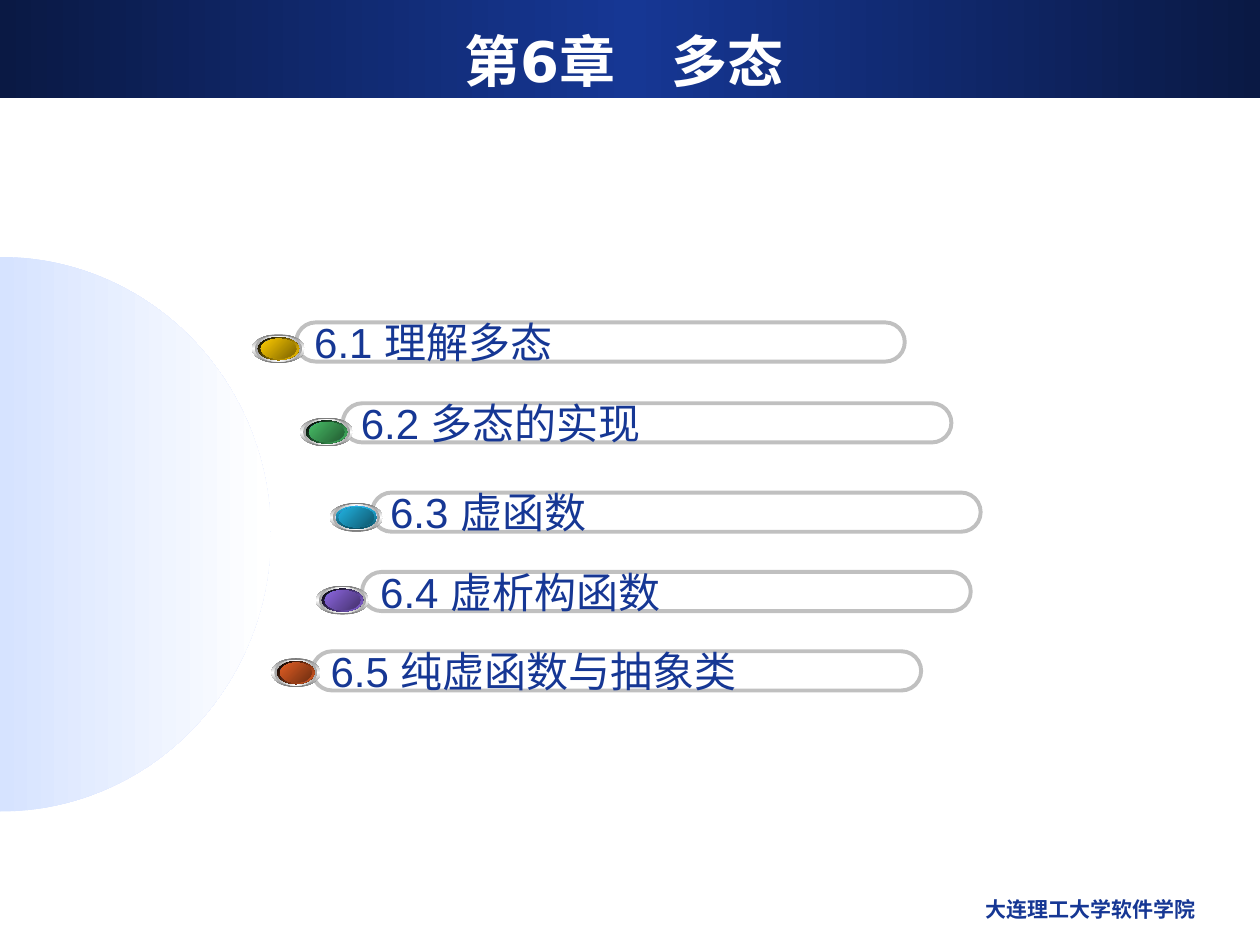
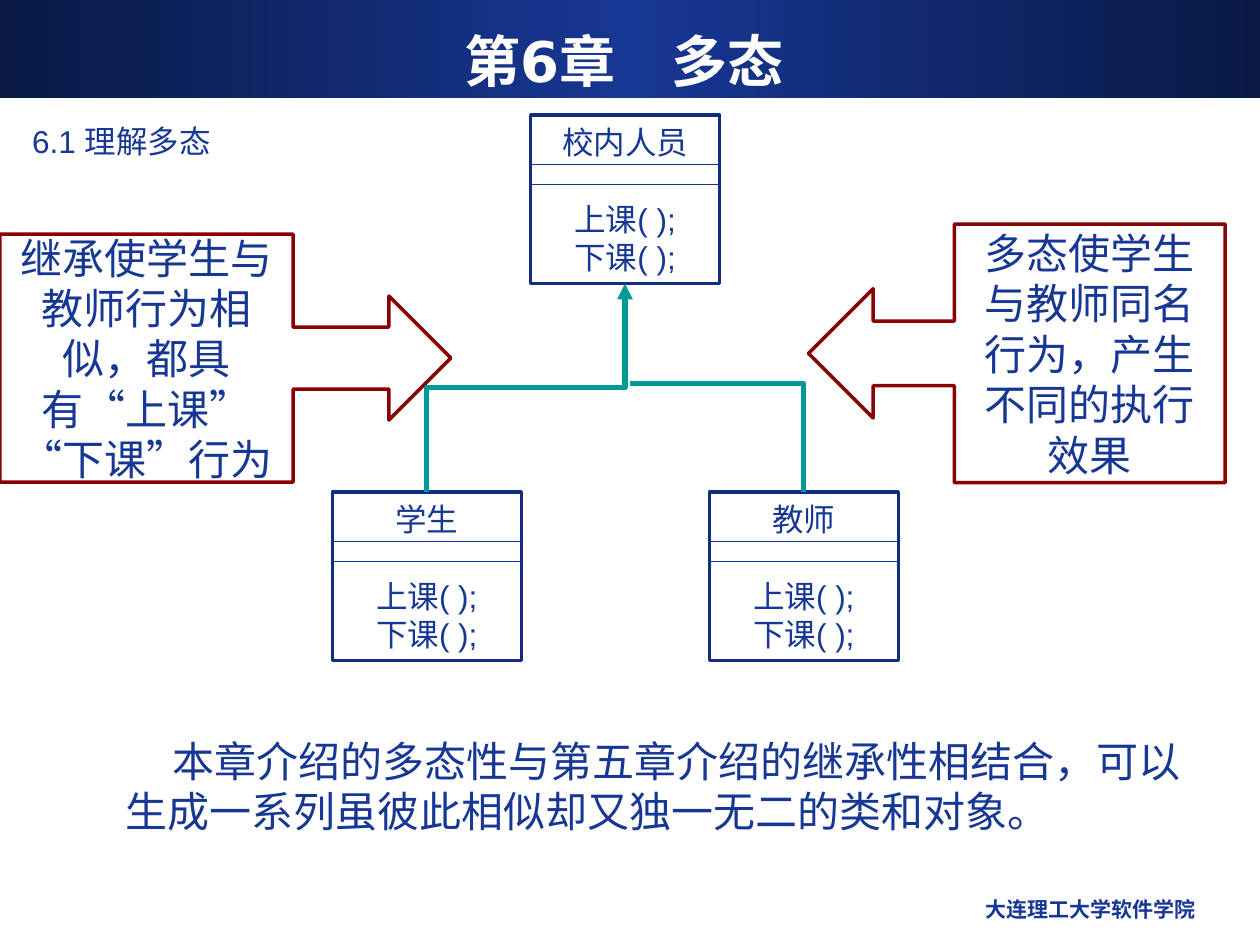
from math import cos, pi, sin

from lxml import etree
from pptx import Presentation
from pptx.dml.color import RGBColor
from pptx.enum.shapes import MSO_CONNECTOR, MSO_SHAPE
from pptx.enum.text import MSO_ANCHOR, MSO_AUTO_SIZE, PP_ALIGN
from pptx.oxml.ns import qn
from pptx.util import Cm, Pt

LEFT, MID, RIGHT = PP_ALIGN.LEFT, PP_ALIGN.CENTER, PP_ALIGN.RIGHT
TOP, CORE = MSO_ANCHOR.TOP, MSO_ANCHOR.MIDDLE
FIXED = MSO_AUTO_SIZE.NONE
RECT, OVAL, PILL = MSO_SHAPE.RECTANGLE, MSO_SHAPE.OVAL, MSO_SHAPE.ROUNDED_RECTANGLE
CALLOUT = MSO_SHAPE.RIGHT_ARROW_CALLOUT
STRAIGHT, ELBOW = MSO_CONNECTOR.STRAIGHT, MSO_CONNECTOR.ELBOW

WHITE = RGBColor(0xFF, 0xFF, 0xFF)
BLACK = RGBColor(0x00, 0x00, 0x00)
INK = RGBColor(0x16, 0x37, 0x94)
NIGHT = RGBColor(0x0A, 0x19, 0x44)
PALE = RGBColor(0xD6, 0xE3, 0xFF)
SILVER = RGBColor(0xC0, 0xC0, 0xC0)
STEEL = RGBColor(0x76, 0x76, 0x76)
GREY = RGBColor(0xA2, 0xA2, 0xA2)
SKY = RGBColor(0x66, 0x99, 0xFF)
DUSK = RGBColor(0x37, 0x53, 0x8A)
NAVY = RGBColor(0x11, 0x2D, 0x7E)
RULE = RGBColor(0x12, 0x34, 0x94)
TEAL = RGBColor(0x00, 0x99, 0x99)
MAROON = RGBColor(0x8A, 0x00, 0x00)
GOLD, OCHRE = RGBColor(0xFF, 0xCC, 0x00), RGBColor(0x7C, 0x63, 0x00)
GREEN, PINE = RGBColor(0x48, 0xBE, 0x67), RGBColor(0x23, 0x5C, 0x32)
CYAN, DEEP = RGBColor(0x21, 0xB3, 0xE1), RGBColor(0x10, 0x57, 0x6D)
ABYSS = RGBColor(0x0F, 0x53, 0x68)
LILAC, PLUM = RGBColor(0x8D, 0x67, 0xE1), RGBColor(0x45, 0x32, 0x6D)
CORAL, RUST = RGBColor(0xE3, 0x5E, 0x23), RGBColor(0x6E, 0x2E, 0x11)

TITLE = "第6章　多态"
SCHOOL = "大连理工大学软件学院"
TOPICS = [
    ("6.1 理解多态", 5.97, 6.5),
    ("6.2 多态的实现", 6.91, 8.13),
    ("6.3 虚函数", 7.5, 9.93),
    ("6.4 虚析构函数", 7.3, 11.53),
    ("6.5 纯虚函数与抽象类", 6.3, 13.13),
]
BEADS = [
    ((5.08, 6.74, 1.07, 0.58), GOLD, OCHRE, (BLACK, GOLD), 45),
    ((6.05, 8.42, 1.07, 0.58), GREEN, PINE, (BLACK, GREEN), 45),
    ((6.37, 11.81, 1.07, 0.58), LILAC, PLUM, (BLACK, LILAC), 45),
    ((5.47, 13.27, 0.99, 0.58), CORAL, RUST, (BLACK, CORAL), 45),
    ((6.65, 10.14, 1.07, 0.58), CYAN, DEEP, (CYAN, ABYSS), 90),
]


def put(obj, **fmt):
    for key, val in fmt.items():
        setattr(obj, key, val)


def area(*box):
    return [Cm(val) for val in box]


def write(frame, lines, size, color=INK, name="Arial", bold=False,
          align=LEFT, anchor=TOP, wrap=True):
    put(frame, text="\n".join(lines), auto_size=FIXED,
        vertical_anchor=anchor, word_wrap=wrap)
    for para in frame.paragraphs:
        put(para, alignment=align, space_before=Pt(0))
        para._p.get_or_add_pPr().set("hangingPunct", "0")
        for run in para.runs:
            put(run.font, size=Pt(size), name=name, bold=bold)
            run.font.color.rgb = color


def shade(shape, stops, angle):
    shape.fill.background()
    props = shape.element.spPr
    grad = etree.Element(qn("a:gradFill"), rotWithShape="1")
    row = etree.SubElement(grad, qn("a:gsLst"))
    for num, color in enumerate(stops):
        pos = 100000 * num // (len(stops) - 1)
        stop = etree.SubElement(row, qn("a:gs"), pos=str(pos))
        etree.SubElement(stop, qn("a:srgbClr"), val=str(color))
    etree.SubElement(grad, qn("a:lin"), ang=str(angle * 60000), scaled="0")
    props.replace(props.find(qn("a:noFill")), grad)


def edge(shape, color, width):
    shape.line.color.rgb = color
    shape.line.width = Pt(width)


def draw(shapes, kind, box, fill=None, line=None, width=2):
    shape = shapes.add_shape(kind, *area(*box))
    shape.shadow.inherit = False
    if fill is None:
        shape.fill.background()
    else:
        shape.fill.solid()
        shape.fill.fore_color.rgb = fill
    if line is None:
        shape.line.fill.background()
    else:
        edge(shape, line, width)
    return shape


def link(slide, kind, start, end, color, width):
    wire = slide.shapes.add_connector(kind, *area(*start, *end))
    edge(wire, color, width)
    etree.SubElement(wire.element.spPr, qn("a:effectLst"))
    return wire


def label(slide, box, text, size, **fmt):
    frame = slide.shapes.add_textbox(*area(*box)).text_frame
    write(frame, [text], size, **fmt)
    return frame


def place(shape, box):
    left, top, width, height = area(*box)
    put(shape, left=left, top=top, width=width, height=height)


def start(deck, layout):
    slide = deck.slides.add_slide(deck.slide_layouts[layout])
    title = slide.shapes.title
    place(title, (0.84, 0.43, 23.5, 1.57))
    write(title.text_frame, [TITLE], 32, color=WHITE, name="DejaVu Sans",
          bold=True, align=MID, anchor=CORE)
    label(slide, (16.3, 17.95, 8.05, 0.89), SCHOOL, 12, bold=True, align=RIGHT)
    return slide


def band(deck, slide):
    bar = draw(slide.shapes, RECT, (0, 0, 25.4, 1.98))
    shade(bar, (NIGHT, INK, NIGHT), 0)
    bar.element.nvSpPr.cNvPr.set("id", "20")
    deck.slide_master.placeholders[0].element.addprevious(bar.element)


def moon(slide, mid, wide, tall):
    steps = 90
    arc = [(Cm(wide * sin(pi * n / steps)), Cm(mid - tall * cos(pi * n / steps)))
           for n in range(steps + 1)]
    pen = slide.shapes.build_freeform(*arc[0], scale=1.0)
    pen.add_line_segments(arc[1:], close=True)
    shape = pen.convert_to_shape()
    shape.shadow.inherit = False
    shape.line.fill.background()
    shade(shape, (PALE, WHITE), 0)


def topic(slide, text, left, top):
    pill = draw(slide.shapes, PILL, (left, top, 12.27, 0.79), line=SILVER, width=2.25)
    pill.adjustments[0] = 0.5
    write(pill.text_frame, [text], 24, anchor=CORE, wrap=False)


def bead(slide, box, hue, dark, rim, tilt):
    left, top, width, height = box
    group = slide.shapes.add_group_shape()
    layers = [
        (0, (STEEL, WHITE, STEEL), 90),
        (1, (GREY, WHITE, GREY), 0),
        (2, (WHITE, SKY, WHITE), 45),
        (2, rim, tilt),
        (3, (DUSK, SKY, DUSK), 315),
        (3, (hue, dark), 45),
    ]
    for depth, stops, angle in layers:
        dx, dy = 0.06 * depth, 0.03 * depth
        ring = draw(group.shapes, OVAL,
                    (left + dx, top + dy, width - 2 * dx, height - 2 * dy))
        shade(ring, stops, angle)


def klass(slide, name, left, top):
    width, height = 3.81, 3.4
    card = draw(slide.shapes, RECT, (left, top, width, height), WHITE, NAVY)
    write(card.text_frame, [name, "上课( );", "下课( );"], 18, align=MID, anchor=CORE)
    card.text_frame.paragraphs[1].space_before = Pt(22)
    for drop in (1.0, 1.4):
        link(slide, STRAIGHT, (left, top + drop), (left + width, top + drop), RULE, 0.75)


def callout(slide, box, lines, flip=False):
    shape = draw(slide.shapes, CALLOUT, box, WHITE, MAROON)
    for num, val in enumerate((0.25, 0.25, 0.25, 0.65)):
        shape.adjustments[num] = val
    if flip:
        shape.element.spPr.find(qn("a:xfrm")).set("flipH", "1")
    write(shape.text_frame, lines, 24, align=MID, anchor=CORE)


def climb(slide, foot, head):
    midx, midy = (foot[0] + head[0]) / 2, (foot[1] + head[1]) / 2
    dx, dy = (foot[1] - head[1]) / 2, (head[0] - foot[0]) / 2
    wire = link(slide, ELBOW, (midx + dx, midy + dy), (midx - dx, midy - dy), TEAL, 3)
    props = wire.element.spPr
    props.find(qn("a:xfrm")).set("rot", "5400000")
    etree.SubElement(props.find(qn("a:ln")), qn("a:tailEnd"), type="triangle")


def bend(slide, begin, end):
    wire = link(slide, ELBOW, begin, end, TEAL, 3)
    wire.element.spPr.find(qn("a:prstGeom")).set("prst", "bentConnector2")


def body(slide, box, text):
    holder = slide.placeholders[1]
    place(holder, box)
    frame = holder.text_frame
    write(frame, [text], 24)
    props = frame.paragraphs[0]._p.get_or_add_pPr()
    props.set("marL", str(Cm(0.97)))
    props.set("indent", str(Cm(0.95)))
    etree.SubElement(props, qn("a:buNone"))


def agenda(deck):
    slide = start(deck, 5)
    band(deck, slide)
    moon(slide, 10.77, 5.46, 5.59)
    for row in reversed(TOPICS):
        topic(slide, *row)
    for row in BEADS:
        bead(slide, *row)


def lesson(deck):
    slide = start(deck, 1)
    body(slide, (1.3, 14.7, 23.19, 3.05),
         "本章介绍的多态性与第五章介绍的继承性相结合，可以生成一系列虽彼此相似却又独一无二的类和对象。")
    head = label(slide, (0.05, 2.34, 23.5, 1.04), TOPICS[0][0], 18)
    head.margin_left = Cm(0.6)
    callout(slide, (0, 4.72, 9.09, 5),
            ["继承使学生与教师行为相似，都具有“上课”", "“下课”行为"])
    klass(slide, "校内人员", 10.7, 2.32)
    klass(slide, "学生", 6.7, 9.92)
    klass(slide, "教师", 14.3, 9.92)
    climb(slide, (8.6, 9.92), (12.6, 5.72))
    bend(slide, (12.7, 7.73), (16.2, 9.92))
    callout(slide, (16.3, 4.52, 8.4, 5.21),
            ["多态使学生与教师同名行为，产生不同的执行效果"], flip=True)


def main():
    deck = Presentation()
    put(deck, slide_width=Cm(25.4), slide_height=Cm(19.05))
    agenda(deck)
    lesson(deck)
    deck.save("out.pptx")


if __name__ == "__main__":
    main()
